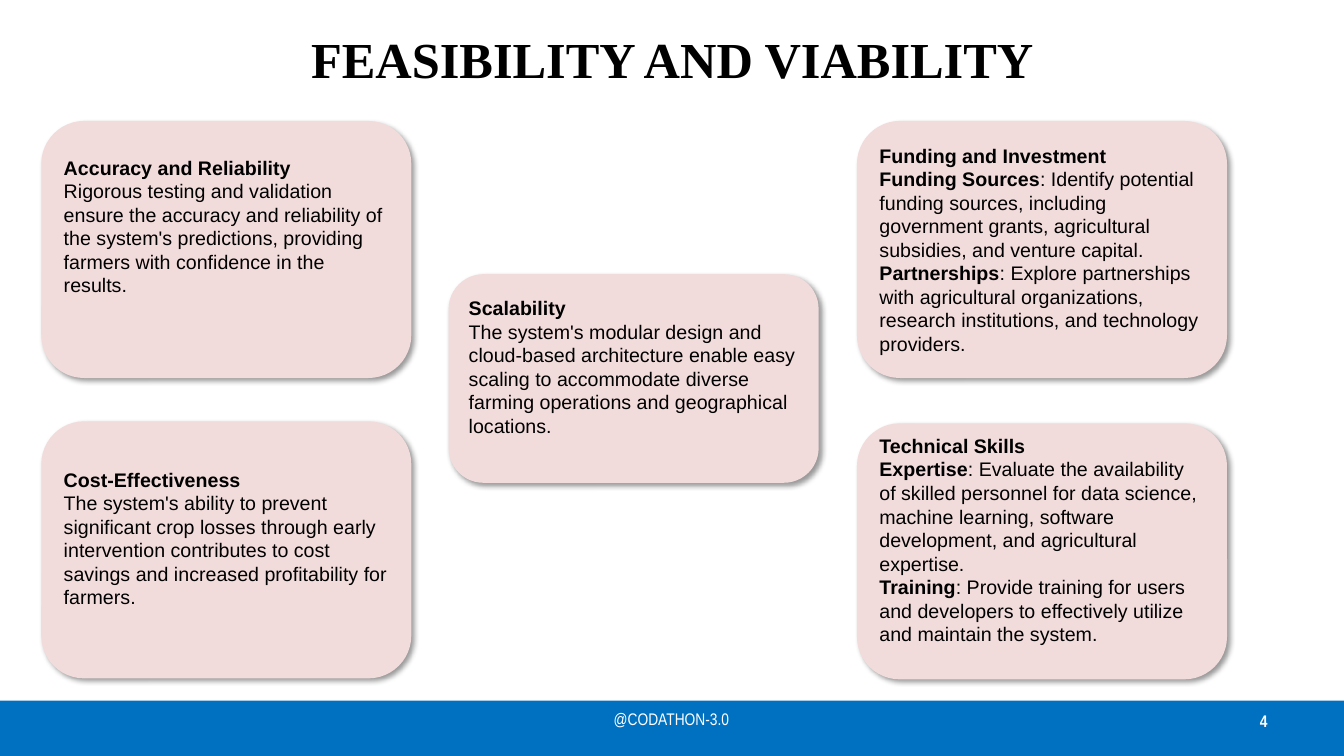
from lxml import etree
from pptx import Presentation
from pptx.dml.color import RGBColor
from pptx.enum.shapes import MSO_SHAPE as Shape
from pptx.enum.text import MSO_ANCHOR as Anchor, PP_ALIGN as Align
from pptx.oxml.ns import qn
from pptx.util import Inches, Pt


def color(hex_string):
    return RGBColor.from_string(hex_string)


def add_panel(kind, box, fill, shadow):
    """Add a borderless shape; shadow is colour, opacity %, blur, distance, angle."""
    shape = slide.shapes.add_shape(kind, *[Inches(v) for v in box])
    shape.fill.solid()
    shape.fill.fore_color.rgb = color(fill)
    shape.line.fill.background()
    shape.shadow.inherit = False
    tint, opacity, blur, distance, angle = shadow
    effects = shape._element.spPr.find(qn("a:effectLst"))
    outer = etree.SubElement(effects, qn("a:outerShdw"), blurRad=str(Pt(blur)),
                             dist=str(Pt(distance)), dir=str(angle * 60000),
                             algn="tl", rotWithShape="0")
    rgb = etree.SubElement(outer, qn("a:srgbClr"), val=tint)
    etree.SubElement(rgb, qn("a:alpha"), val=str(opacity * 1000))
    return shape


presentation = Presentation()
presentation.slide_width = Inches(13.33)
presentation.slide_height = Inches(7.5)
slide = presentation.slides.add_slide(presentation.slide_layouts[6])

# Footer bar
add_panel(Shape.RECTANGLE, (0, 6.95, 13.33, 0.55), "0070C0", ("808080", 35, 0, 1.8, 90))

# Title, slide number and footer text
labels = [
    ("FEASIBILITY AND VIABILITY", (0.67, -0.05, 12, 1.25), Align.CENTER, "000000",
     {"size": Pt(36), "name": "Times New Roman", "bold": True}),
    ("4", (9.56, 6.95, 3.11, 0.4), Align.RIGHT, "FFFFFF",
     {"size": Pt(12), "name": "Arial Narrow", "bold": True}),
    ("@CODATHON-3.0", (4.91, 6.93, 3.5, 0.4), Align.CENTER, "FFFFFF",
     {"size": Pt(12), "name": "Arial Narrow", "bold": False}),
]
for text, box, alignment, text_color, font_format in labels:
    frame = slide.shapes.add_textbox(*[Inches(v) for v in box]).text_frame
    frame.word_wrap = True
    frame.vertical_anchor = Anchor.MIDDLE
    paragraph = frame.paragraphs[0]
    paragraph.alignment = alignment
    run = paragraph.add_run()
    run.text = text
    run.font.color.rgb = color(text_color)
    for name, value in font_format.items():
        setattr(run.font, name, value)

# Cards: left, top, height, lines of room below the text, (bold, plain) paragraphs
CARD_WIDTH = 3.67
LINE_HEIGHT = 0.23
cards = [
    (0.41, 1.2, 2.55, 2, [
        ("Accuracy and Reliability", ""),
        ("", "Rigorous testing and validation ensure the accuracy and reliability of "
             "the system's predictions, providing farmers with confidence in the results.")]),
    (0.41, 4.18, 2.55, 1, [
        ("Cost-Effectiveness", ""),
        ("", "The system's ability to prevent significant crop losses through early "
             "intervention contributes to cost savings and increased profitability for farmers.")]),
    (8.5, 4.2, 2.54, 1, [
        ("Technical Skills", ""),
        ("Expertise", ": Evaluate the availability of skilled personnel for data science, "
                      "machine learning, software development, and agricultural expertise."),
        ("Training", ": Provide training for users and developers to effectively utilize "
                     "and maintain the system.")]),
    (8.5, 1.2, 2.55, 0, [
        ("Funding and Investment", ""),
        ("Funding Sources", ": Identify potential funding sources, including government "
                            "grants, agricultural subsidies, and venture capital."),
        ("Partnerships", ": Explore partnerships with agricultural organizations, research "
                         "institutions, and technology providers.")]),
    (4.45, 2.72, 2.07, 1, [
        ("Scalability", ""),
        ("", "The system's modular design and cloud-based architecture enable easy scaling "
             "to accommodate diverse farming operations and geographical locations.")]),
]
for left, top, height, spare_lines, paragraphs in cards:
    card = add_panel(Shape.ROUNDED_RECTANGLE, (left, top, CARD_WIDTH, height), "F2DCDB",
                     ("000000", 40, 4, 3, 45))
    frame = card.text_frame
    frame.word_wrap = True
    frame.vertical_anchor = Anchor.MIDDLE
    frame.margin_bottom = Inches(0.05 + spare_lines * LINE_HEIGHT)
    for index, parts in enumerate(paragraphs):
        paragraph = frame.add_paragraph() if index else frame.paragraphs[0]
        paragraph.alignment = Align.LEFT
        for text, bold in zip(parts, (True, False)):
            if text:
                run = paragraph.add_run()
                run.text = text
                run.font.color.rgb = color("000000")
                for name, value in {"size": Pt(14), "name": "Arial", "bold": bold}.items():
                    setattr(run.font, name, value)

presentation.save("out.pptx")
